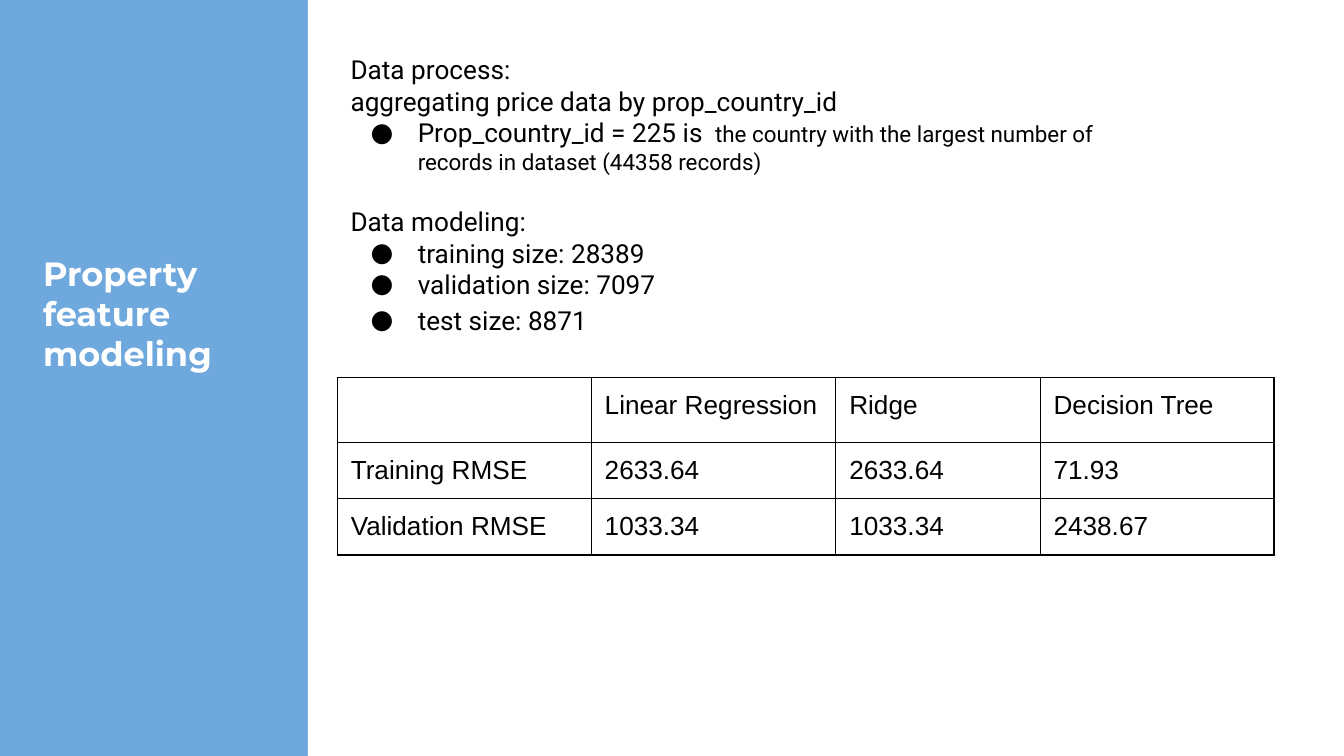
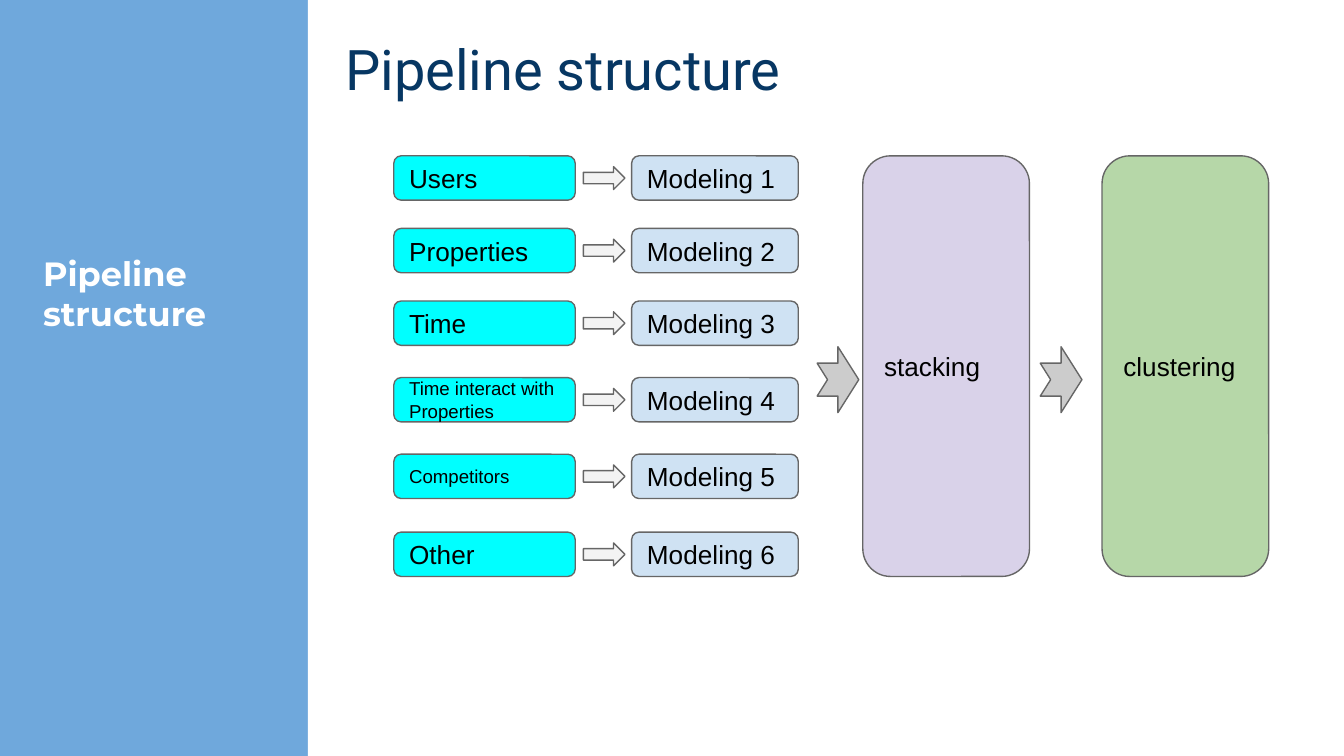
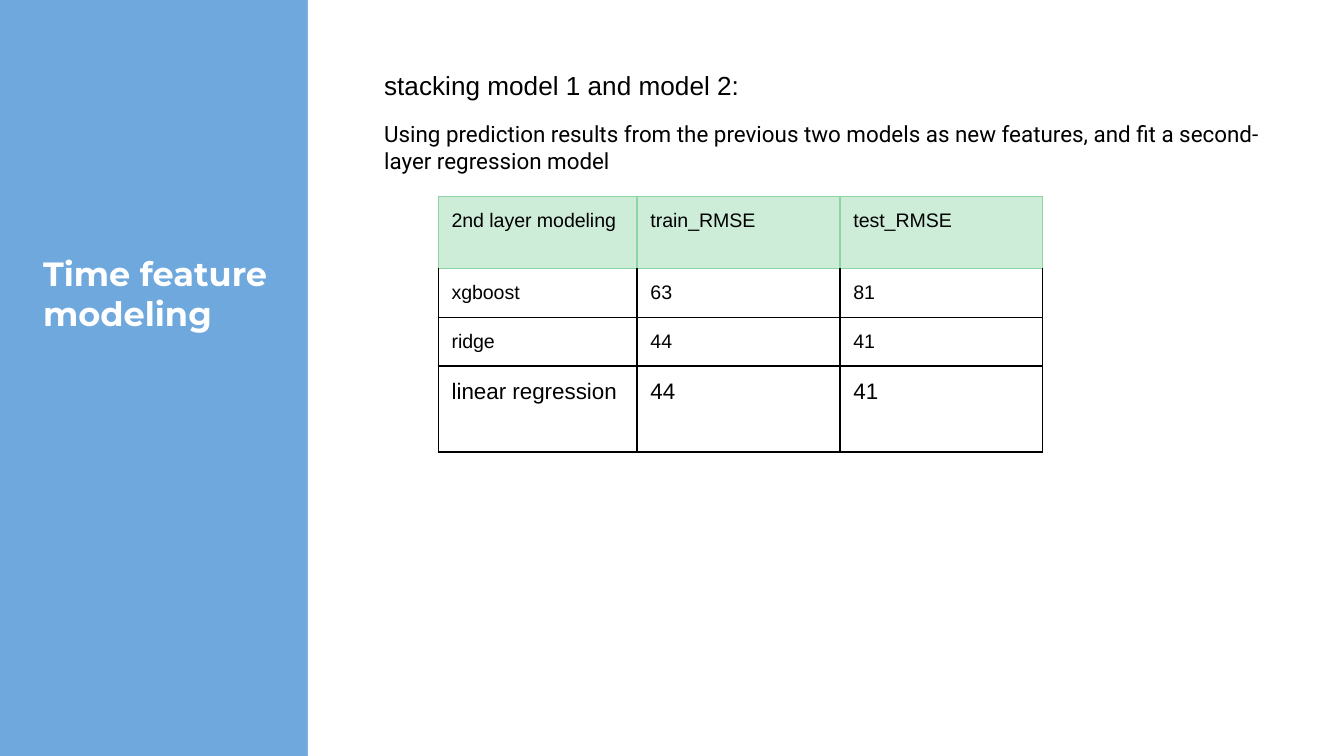
import dataclasses

import lxml.etree
import pptx
import pptx.dml.color
import pptx.enum.shapes
import pptx.enum.text
import pptx.oxml.ns
import pptx.util

Inches = pptx.util.Inches
Pt = pptx.util.Pt
Shapes = pptx.enum.shapes.MSO_SHAPE
qn = pptx.oxml.ns.qn


@dataclasses.dataclass(frozen=True)
class Theme:
    band: str = "6FA8DC"
    panel: str = "FFFFFF"
    ink: str = "000000"
    heading: str = "073763"
    outline: str = "666666"
    source: str = "00FFFF"
    model: str = "CFE2F3"
    stacking: str = "D9D2E9"
    clustering: str = "B6D7A8"
    thin_arrow: str = "F3F3F3"
    thick_arrow: str = "CCCCCC"
    header_fill: str = "CDEDD8"
    header_line: str = "8CD6A5"
    title_font: str = "Montserrat"
    text_font: str = "Roboto"
    plain_font: str = "Arial"
    heading_size: float = 30
    title_size: float = 18
    text_size: float = 14
    note_size: float = 12
    cell_size: float = 10.5
    label_size: float = 10
    line_width: float = 0.75


@dataclasses.dataclass(frozen=True)
class Box:
    """A region of the page, in inches."""
    left: float
    top: float
    width: float
    height: float

    def lengths(self):
        return [Inches(value) for value in dataclasses.astuple(self)]

    def inside(self, left, top, width, height):
        return Box(self.left + left, self.top + top, width, height)


THEME = Theme()
PAGE = Box(0, 0, 10, 10 * 9 / 16)
PANEL = Box(2.29, 0, 7.71, PAGE.height)
TITLE = Box(0.22, 1.78, 1.87, 0.94)


def rgb(color):
    return pptx.dml.color.RGBColor.from_string(color)


def write(frame, text, size=THEME.text_size, font=THEME.text_font, color=THEME.ink,
          bold=False, bullet=False, joined=False, space_before=0, line_spacing=1.0):
    """Add a paragraph, or, when joined, continue the last one."""
    para = frame.paragraphs[-1]
    if para.runs and not joined:
        para = frame.add_paragraph()
    if not joined:
        para.alignment = pptx.enum.text.PP_ALIGN.LEFT
        para.space_before = Pt(space_before)
        para.line_spacing = line_spacing
    if bullet:
        add_bullet(para)
    span = para.add_run()
    span.text = text
    span.font.size = Pt(size)
    span.font.name = font
    span.font.bold = bold
    span.font.color.rgb = rgb(color)


def add_bullet(para):
    properties = para._p.get_or_add_pPr()
    properties.set("marL", str(Inches(0.5)))
    properties.set("indent", str(Inches(-0.35)))
    color = lxml.etree.SubElement(properties, qn("a:buClr"))
    lxml.etree.SubElement(color, qn("a:srgbClr"), val=THEME.ink)
    lxml.etree.SubElement(properties, qn("a:buFont"), typeface=THEME.text_font)
    lxml.etree.SubElement(properties, qn("a:buChar"), char="●")


def set_frame(frame, anchor=pptx.enum.text.MSO_ANCHOR.TOP):
    frame.word_wrap = True
    frame.auto_size = pptx.enum.text.MSO_AUTO_SIZE.NONE
    frame.vertical_anchor = anchor
    frame.margin_left = frame.margin_right = Inches(0.1)
    frame.margin_top = frame.margin_bottom = Inches(0.1)
    return frame


def add_text_box(page, box):
    return set_frame(page.shapes.add_textbox(*box.lengths()).text_frame)


def add_block(page, kind, box, fill, line=THEME.outline):
    block = page.shapes.add_shape(kind, *box.lengths())
    block.shadow.inherit = False
    block.fill.solid()
    block.fill.fore_color.rgb = rgb(fill)
    if line:
        block.line.color.rgb = rgb(line)
        block.line.width = Pt(THEME.line_width)
    else:
        block.line.fill.background()
    return block


def add_stage(page, box, fill, text, size=THEME.text_size):
    stage = add_block(page, Shapes.ROUNDED_RECTANGLE, box, fill)
    frame = set_frame(stage.text_frame, pptx.enum.text.MSO_ANCHOR.MIDDLE)
    write(frame, text, size=size, font=THEME.plain_font)


def set_borders(cell, color, top_color):
    properties = cell._tc.get_or_add_tcPr()
    colors = {"a:lnL": color, "a:lnR": color, "a:lnT": top_color, "a:lnB": color}
    for index, (tag, side_color) in enumerate(colors.items()):
        line = lxml.etree.Element(qn(tag), w=str(Pt(THEME.line_width)))
        fill = lxml.etree.SubElement(line, qn("a:solidFill"))
        lxml.etree.SubElement(fill, qn("a:srgbClr"), val=side_color)
        properties.insert(index, line)


def set_empty_size(cell, size):
    """Keep an empty cell from stretching its row."""
    para = cell.text_frame.paragraphs[0]
    lxml.etree.SubElement(para._p, qn("a:endParaRPr"), sz=str(int(size * 100)))


def add_results(page, left, top, widths, heights, rows, sizes,
                header_fill=None, header_line=THEME.ink):
    """Add a table; sizes holds one type size for each row."""
    box = Box(left, top, sum(widths), sum(heights))
    table = page.shapes.add_table(len(rows), len(widths), *box.lengths()).table
    table.first_row = table.horz_banding = False
    for column, width in zip(table.columns, widths):
        column.width = Inches(width)
    for row, height in zip(table.rows, heights):
        row.height = Inches(height)
    for index, (texts, size) in enumerate(zip(rows, sizes)):
        for cell, text in zip(table.rows[index].cells, texts):
            cell.margin_left = cell.margin_right = Inches(0.1)
            cell.margin_top = cell.margin_bottom = Inches(0.1)
            if index == 0 and header_fill:
                cell.fill.solid()
                cell.fill.fore_color.rgb = rgb(header_fill)
            else:
                cell.fill.background()
            set_borders(cell, THEME.ink if index else header_line,
                        header_line if index < 2 else THEME.ink)
            if text:
                write(cell.text_frame, text, size=size, font=THEME.plain_font)
            else:
                set_empty_size(cell, size)


def set_title(page, *lines, height=TITLE.height):
    title = page.shapes.title
    box = dataclasses.replace(TITLE, height=height)
    title.left, title.top, title.width, title.height = box.lengths()
    frame = set_frame(title.text_frame)
    for line in lines:
        write(frame, line, size=THEME.title_size, font=THEME.title_font,
              color=THEME.panel, bold=True)


def share_background(deck, layout, page):
    """Give the layout the blue band and white panel that every page shows."""
    background = deck.slide_master.background.fill
    background.solid()
    background.fore_color.rgb = rgb(THEME.band)
    panel = add_block(page, Shapes.RECTANGLE, PANEL, THEME.panel, line=None)
    layout.shapes.element.insert(2, panel.element)


def add_property_page(page, box):
    set_title(page, "Property feature", "modeling", height=1.37)
    frame = add_text_box(page, box.inside(0.22, 0.3, 6.18, 4.74))
    write(frame, "Data process:")
    write(frame, "aggregating price data by prop_country_id")
    write(frame, "Prop_country_id = 225 is ", bullet=True)
    write(frame, " the country with the largest number of records in dataset (44358 records)",
          size=THEME.note_size, joined=True)
    write(frame, "Data modeling:", space_before=16.5)
    write(frame, "training size: 28389", bullet=True)
    write(frame, "validation size: 7097", bullet=True)
    write(frame, "test size: 8871", bullet=True, line_spacing=1.15)
    add_results(
        page, box.left + 0.22, box.top + 2.81,
        widths=(1.89, 1.82, 1.52, 1.74), heights=(0.48, 0.42, 0.42),
        rows=(("", "Linear Regression", "Ridge", "Decision Tree"),
              ("Training RMSE", "2633.64", "2633.64", "71.93"),
              ("Validation RMSE", "1033.34", "1033.34", "2438.67")),
        sizes=[THEME.text_size] * 3)


def add_pipeline(page, box):
    """Draw six sources with their models, then the two stages that join them."""
    row_height, arrow_height, notch_height = 0.33, 0.17, 0.49
    sources = (("Users", 0, THEME.text_size),
               ("Properties", 0.54, THEME.text_size),
               ("Time", 1.08, THEME.text_size),
               ("Time interact with Properties", 1.65, THEME.label_size),
               ("Competitors", 2.22, THEME.label_size),
               ("Other", 2.8, THEME.text_size))
    for number, (source, top, size) in enumerate(sources, start=1):
        add_stage(page, box.inside(0, top, 1.35, row_height), THEME.source, source, size)
        add_stage(page, box.inside(1.77, top, 1.24, row_height), THEME.model,
                  f"Modeling {number}")
        arrow_top = top + (row_height - arrow_height) / 2
        add_block(page, Shapes.RIGHT_ARROW,
                  box.inside(1.41, arrow_top, 0.31, arrow_height), THEME.thin_arrow)
    stages = (("stacking", 3.49, 3.15, THEME.stacking),
              ("clustering", 5.27, 4.81, THEME.clustering))
    for name, left, arrow_left, fill in stages:
        add_stage(page, box.inside(left, 0, 1.24, box.height), fill, name)
        add_block(page, Shapes.NOTCHED_RIGHT_ARROW,
                  box.inside(arrow_left, 1.42, 0.31, notch_height), THEME.thick_arrow)


def add_pipeline_page(page, box):
    set_title(page, "Pipeline structure")
    frame = add_text_box(page, box.inside(0.18, 0.16, 7.29, 5.31))
    write(frame, "Pipeline structure", size=THEME.heading_size, color=THEME.heading,
          space_before=6)
    add_pipeline(page, box.inside(0.64, 1.16, 6.51, 3.13))


def add_time_page(page, box):
    set_title(page, "Time feature", "modeling")
    frame = add_text_box(page, box.inside(0.47, 0.42, 6.81, 0.76))
    write(frame, "stacking model 1 and model 2:", font=THEME.plain_font)
    write(frame, "Using prediction results from the previous two models as new features, "
          "and fit a second-layer regression model", size=THEME.note_size, space_before=10)
    add_results(
        page, box.left + 0.97, box.top + 1.46,
        widths=(1.48, 1.51, 1.51), heights=(0.54, 0.36, 0.36, 0.64),
        rows=(("2nd layer modeling", "train_RMSE", "test_RMSE"),
              ("xgboost", "63", "81"),
              ("ridge", "44", "41"),
              ("linear regression", "44", "41")),
        sizes=[THEME.cell_size] * 3 + [THEME.note_size],
        header_fill=THEME.header_fill, header_line=THEME.header_line)


def main():
    deck = pptx.Presentation()
    deck.slide_width, deck.slide_height = Inches(PAGE.width), Inches(PAGE.height)
    layout = deck.slide_layouts.get_by_name("Title Only")
    builders = (add_property_page, add_pipeline_page, add_time_page)
    pages = [deck.slides.add_slide(layout) for _ in builders]
    share_background(deck, layout, pages[0])
    for build, page in zip(builders, pages):
        build(page, PANEL)
    deck.save("out.pptx")


if __name__ == "__main__":
    main()
